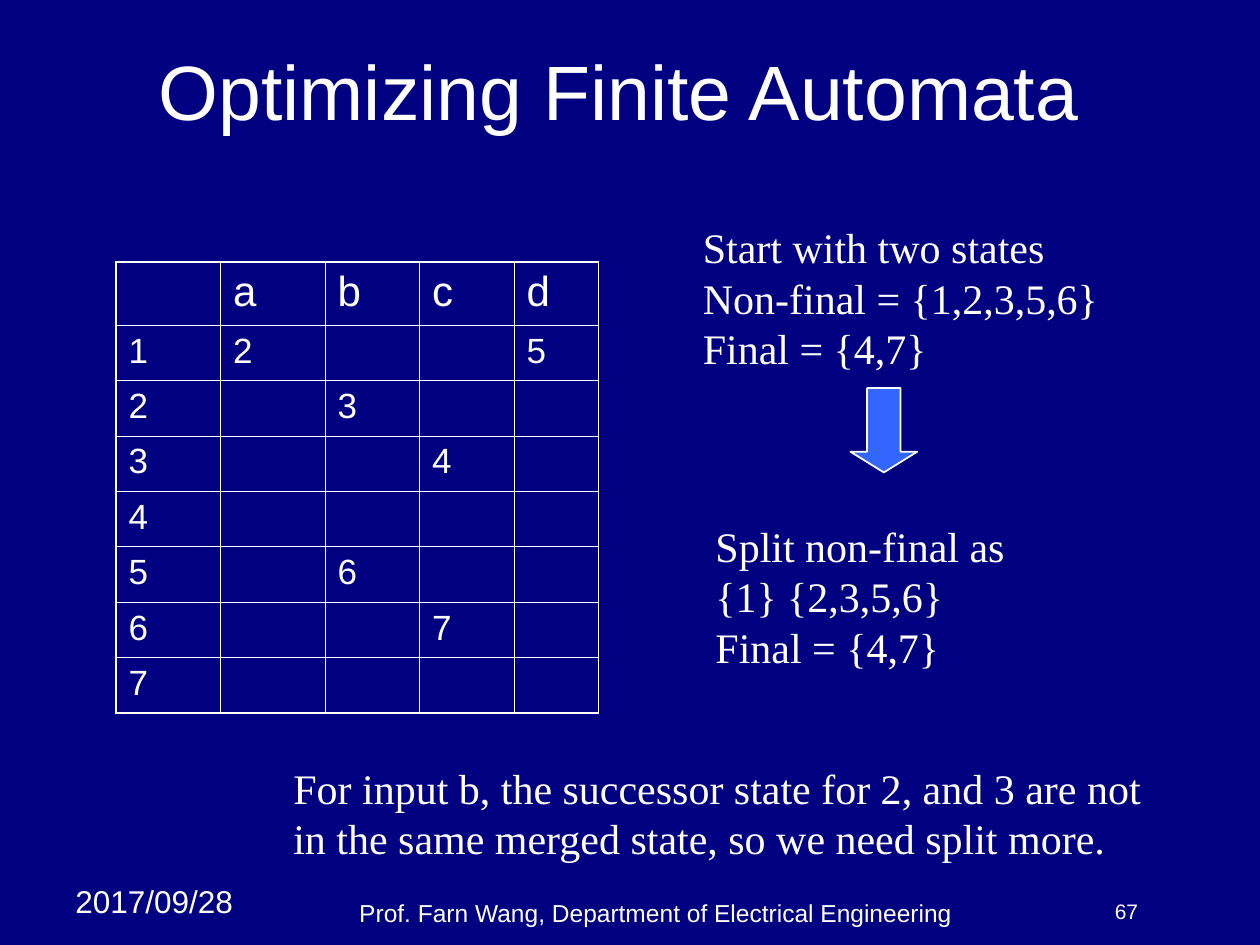
from dataclasses import dataclass

from lxml.etree import SubElement
from pptx import Presentation
from pptx.dml.color import RGBColor
from pptx.enum.shapes import MSO_SHAPE
from pptx.enum.text import MSO_ANCHOR, MSO_AUTO_SIZE, PP_ALIGN
from pptx.oxml.ns import qn
from pptx.util import Inches, Pt


@dataclass(frozen=True)
class Theme:
    background: str = "000080"
    ink: str = "FFFFFF"
    arrow: str = "3366FF"
    sans: str = "Arial"
    serif: str = "Times New Roman"
    title: int = 44
    body: int = 24
    state: int = 20
    date: int = 18
    footer: int = 14
    number: int = 12
    outer_border: float = 1.08
    inner_border: float = 0.45


THEME = Theme()

# Content
TITLE = "Optimizing Finite Automata "
DATE = "2017/09/28"
FOOTER = "Prof. Farn Wang, Department of Electrical Engineering"
PAGE_NUMBER = "67"
INPUTS = ["a", "b", "c", "d"]
TRANSITIONS = {
    "1": {"a": "2", "d": "5"},
    "2": {"b": "3"},
    "3": {"c": "4"},
    "4": {},
    "5": {"b": "6"},
    "6": {"c": "7"},
    "7": {},
}
# Position (left, top, width, height) and lines of each note
NOTES = [
    ((5.48, 1.71, 3.34, 1.3),
     ["Start with two states", "Non-final = {1,2,3,5,6}", "Final = {4,7}"]),
    ((5.58, 4.08, 2.58, 1.3),
     ["Split non-final as", "{1} {2,3,5,6}", "Final = {4,7}"]),
    ((2.23, 6, 6.93, 0.9),
     ["For input b, the successor state for 2, and 3 are not",
      "in the same merged state, so we need split more."]),
]
TABLE_LEFT, TABLE_TOP = 0.92, 2.08
COLUMN_WIDTHS = [0.83, 0.83, 0.75, 0.75, 0.67]
HEADER_HEIGHT, STATE_HEIGHT = 0.5, 0.44


def color(value):
    return RGBColor.from_string(value)


def add_run(paragraph, text, size, font):
    run = paragraph.add_run()
    run.text = text
    run.font.size = Pt(size)
    run.font.name = font
    run.font.color.rgb = color(THEME.ink)


def add_text(slide, box, lines, size, font=THEME.sans, align=PP_ALIGN.LEFT,
             anchor=MSO_ANCHOR.TOP, wrap=True):
    frame = slide.shapes.add_textbox(*map(Inches, box)).text_frame
    frame.word_wrap = wrap
    frame.auto_size = MSO_AUTO_SIZE.NONE if wrap else MSO_AUTO_SIZE.SHAPE_TO_FIT_TEXT
    frame.vertical_anchor = anchor
    for index, line in enumerate(lines):
        paragraph = frame.add_paragraph() if index else frame.paragraphs[0]
        paragraph.alignment = align
        add_run(paragraph, line, size, font)


def set_borders(cell, outer_sides):
    properties = cell._tc.get_or_add_tcPr()
    for side in "LRTB":
        width = THEME.outer_border if side in outer_sides else THEME.inner_border
        line = SubElement(properties, qn(f"a:ln{side}"), w=str(Pt(width)))
        fill = SubElement(line, qn("a:solidFill"))
        SubElement(fill, qn("a:srgbClr"), val=THEME.ink)


def add_transition_table(slide):
    rows = [["", *INPUTS]]
    for state, moves in TRANSITIONS.items():
        rows.append([state, *(moves.get(symbol, "") for symbol in INPUTS)])
    heights = [HEADER_HEIGHT] + [STATE_HEIGHT] * len(TRANSITIONS)
    last_row, last_column = len(rows) - 1, len(INPUTS)
    table = slide.shapes.add_table(
        len(rows), len(COLUMN_WIDTHS), Inches(TABLE_LEFT), Inches(TABLE_TOP),
        Inches(sum(COLUMN_WIDTHS)), Inches(sum(heights))).table
    table.first_row = table.horz_banding = False
    for column, width in zip(table.columns, COLUMN_WIDTHS):
        column.width = Inches(width)
    for r, (values, height) in enumerate(zip(rows, heights)):
        table.rows[r].height = Inches(height)
        for c, text in enumerate(values):
            cell = table.cell(r, c)
            edges = {"L": c == 0, "R": c == last_column,
                     "T": r == 0, "B": r == last_row}
            set_borders(cell, [side for side in edges if edges[side]])
            cell.fill.background()
            if text:
                paragraph = cell.text_frame.paragraphs[0]
                paragraph.space_before = Pt(5 if r else 6)
                add_run(paragraph, text, THEME.state if r else THEME.body, THEME.sans)


def add_step_arrow(slide):
    arrow = slide.shapes.add_shape(
        MSO_SHAPE.DOWN_ARROW, *map(Inches, (6.75, 3.08, 0.53, 0.67)))
    arrow.shadow.inherit = False
    arrow.adjustments[1] = 0.31
    arrow.fill.solid()
    arrow.fill.fore_color.rgb = color(THEME.arrow)
    arrow.line.color.rgb = color(THEME.ink)
    arrow.line.width = Pt(1)


def main():
    presentation = Presentation()
    presentation.slide_width, presentation.slide_height = Inches(10), Inches(7.5)
    slide = presentation.slides.add_slide(presentation.slide_layouts[6])
    slide.background.fill.solid()
    slide.background.fill.fore_color.rgb = color(THEME.background)

    # Date, footer and page number
    add_text(slide, (0.5, 6.95, 1.58, 0.4), [DATE], THEME.date)
    add_text(slide, (1.83, 7.08, 6.75, 0.33), [FOOTER], THEME.footer,
             align=PP_ALIGN.CENTER, anchor=MSO_ANCHOR.BOTTOM)
    add_text(slide, (8.75, 7.08, 0.67, 0.33), [PAGE_NUMBER], THEME.number)

    # Title
    add_text(slide, (0.5, 0.3, 9, 0.83), [TITLE], THEME.title,
             align=PP_ALIGN.CENTER, anchor=MSO_ANCHOR.MIDDLE)

    # Transition table, splitting steps and conclusion
    add_transition_table(slide)
    for box, lines in NOTES:
        add_text(slide, box, lines, THEME.body, THEME.serif, wrap=False)
    add_step_arrow(slide)

    presentation.save("out.pptx")


if __name__ == "__main__":
    main()
